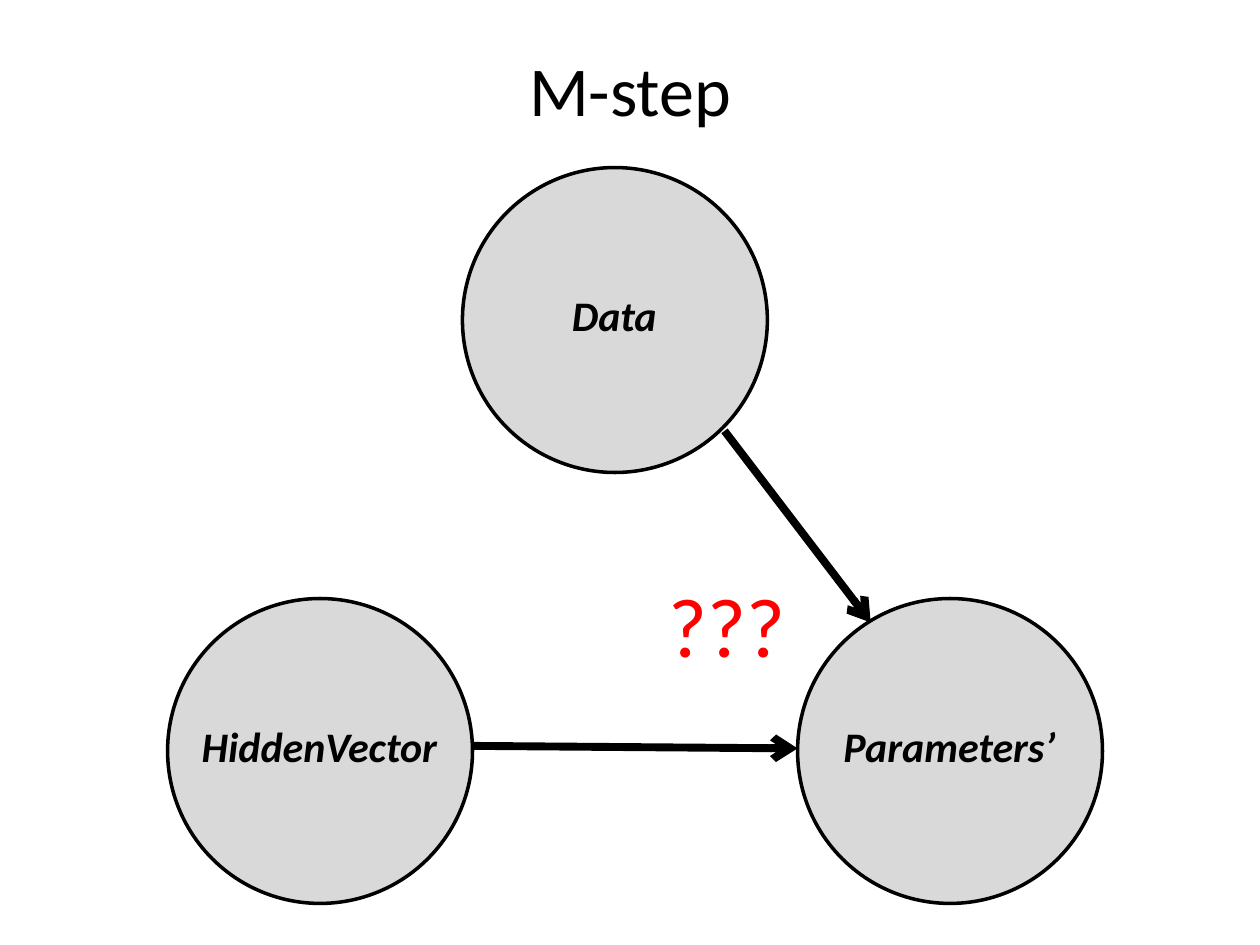
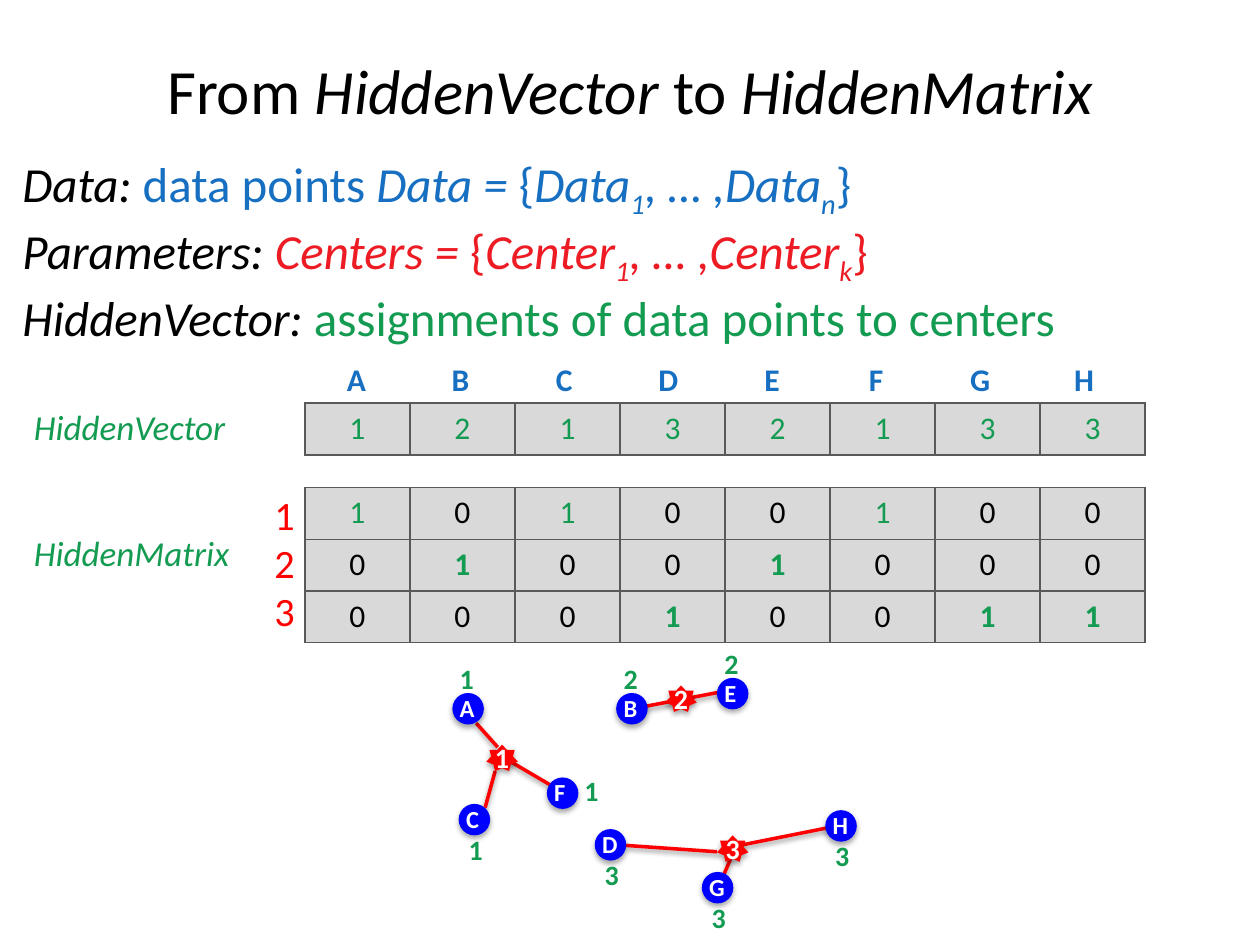
"""Builds two slides on the M-step and on turning HiddenVector into HiddenMatrix."""
from lxml import etree
from pptx import Presentation
from pptx.dml.color import RGBColor
from pptx.enum.shapes import MSO_CONNECTOR, MSO_SHAPE
from pptx.enum.text import MSO_ANCHOR, PP_ALIGN
from pptx.oxml import parse_xml
from pptx.oxml.ns import nsdecls, qn
from pptx.util import Inches, Pt

FONT = "Calibri"
COLORS = {
    "black": "000000", "white": "FFFFFF", "gray": "D9D9D9", "border": "595959",
    "data": "176FC1", "centers": "ED1C24", "hidden": "149B52",
    "red": "FF0000", "point": "0000FF",
}
TITLE_BOX = (0, 0.08, 10, 1.25)

NODE_SIZE = 2.42
NODES = {"Data": (3.67, 1.33), "Parameters’": (6.33, 4.75), "HiddenVector": (1.33, 4.75)}
STEP_ARROWS = [((5.75, 3.42), (6.91, 4.94)), ((3.75, 5.92), (6.33, 5.94))]

ITALIC = {"italic": True}
SUBSCRIPT = {"italic": True, "baseline": -25000}


def indexed_set(name, last, color):
    """Return the runs for a set of members numbered from 1 to last."""
    runs = [("{", {}), (name, ITALIC), ("1", SUBSCRIPT),
            (f", … ,{name}", ITALIC), (last, SUBSCRIPT), ("}", {})]
    return [(text, {**style, "color": color}) for text, style in runs]


MATRIX_TITLE = [("From ", {}), ("HiddenVector ", ITALIC), ("to ", {}), ("HiddenMatrix", ITALIC)]
DEFINITIONS = [
    [("Data: ", ITALIC), ("data points ", {"color": "data"}),
     ("Data = ", {"italic": True, "color": "data"}), *indexed_set("Data", "n", "data")],
    [("Parameters: ", ITALIC), ("Centers = ", {"italic": True, "color": "centers"}),
     *indexed_set("Center", "k", "centers")],
    [("HiddenVector: ", ITALIC),
     ("assignments of data points to centers", {"color": "hidden"})],
]
ASSIGNMENTS = {"A": 1, "B": 2, "C": 1, "D": 3, "E": 2, "F": 1, "G": 3, "H": 3}
CENTERS = {1: (3.86, 5.91), 2: (5.28, 5.44), 3: (5.69, 6.63)}
POINTS = {
    "A": (3.59, 5.5, "above"), "B": (4.89, 5.5, "above"), "C": (3.64, 6.38, "below"),
    "D": (4.72, 6.58, "below"), "E": (5.69, 5.38, "above"), "F": (4.34, 6.17, "right"),
    "G": (5.57, 6.92, "below"), "H": (6.55, 6.43, "below"),
}
ASSIGNMENT_OFFSETS = {"above": (-0.04, -0.3), "below": (-0.02, 0.18), "right": (0.2, -0.08)}
LINKS = [
    ((3.78, 5.74), (3.95, 5.93)), ((4.01, 6.02), (4.47, 6.29)), ((3.93, 6.12), (3.85, 6.41)),
    ((4.97, 6.71), (5.69, 6.76)), ((5.81, 6.79), (5.72, 7)), ((5.82, 6.72), (6.62, 6.56)),
    ((5.05, 5.62), (5.73, 5.49)),
]
TABLE_LEFT, TABLE_WIDTH, ROW_HEIGHT = 2.42, 6.67, 0.41
HEADING_START, HEADING_STEP = 0.3, 0.825


def rgb(color):
    return RGBColor.from_string(COLORS[color])


def lengths(values):
    return [Inches(value) for value in values]


def write_text(frame, paragraphs, size=18, color="black", bold=False, italic=False,
               align=PP_ALIGN.LEFT, anchor=MSO_ANCHOR.TOP, tabs=()):
    """Fill a text frame; a paragraph is a string or a list of (text, format) runs."""
    frame.word_wrap = True
    frame.vertical_anchor = anchor
    for index, content in enumerate(paragraphs):
        paragraph = frame.add_paragraph() if index else frame.paragraphs[0]
        paragraph.alignment = align
        if tabs:
            stops = etree.SubElement(paragraph._p.get_or_add_pPr(), qn("a:tabLst"))
            for position in tabs:
                etree.SubElement(stops, qn("a:tab"), pos=str(Inches(position)), algn="ctr")
        for text, style in [(content, {})] if isinstance(content, str) else content:
            run = paragraph.add_run()
            run.text = text
            run.font.name, run.font.size = FONT, Pt(size)
            run.font.bold, run.font.italic = bold, style.get("italic", italic)
            run.font.color.rgb = rgb(style.get("color", color))
            if "baseline" in style:
                run._r.get_or_add_rPr().set("baseline", str(style["baseline"]))


def add_text(shapes, box, *paragraphs, **style):
    label = shapes.add_textbox(*lengths(box))
    write_text(label.text_frame, paragraphs, **style)
    return label


def add_title(slide, title, size):
    add_text(slide.shapes, TITLE_BOX, title, size=size,
             align=PP_ALIGN.CENTER, anchor=MSO_ANCHOR.MIDDLE)


def set_shadow(shape, opacity=0, distance=0):
    """Replace the theme shadow by none, or by a soft one below the shape."""
    effects = etree.SubElement(shape._element.spPr, qn("a:effectLst"))
    if opacity:
        effects.append(parse_xml(
            f'<a:outerShdw {nsdecls("a")} blurRad="{Pt(3.1)}" dist="{Pt(distance)}" '
            f'dir="5400000" rotWithShape="0"><a:srgbClr val="{COLORS["black"]}">'
            f'<a:alpha val="{opacity * 1000}"/></a:srgbClr></a:outerShdw>'))


def add_figure(shapes, preset, box, fill, outline=None, **shadow):
    figure = shapes.add_shape(preset, *lengths(box))
    figure.fill.solid()
    figure.fill.fore_color.rgb = rgb(fill)
    if outline:
        figure.line.color.rgb = rgb(outline)
        figure.line.width = Pt(2)
    else:
        figure.line.fill.background()
    set_shadow(figure, **shadow)


def add_link(shapes, start, end, color, width, arrow=False, **shadow):
    link = shapes.add_connector(MSO_CONNECTOR.STRAIGHT, *lengths(start + end))
    link.line.color.rgb = rgb(color)
    link.line.width = Pt(width)
    if arrow:
        etree.SubElement(link.line._get_or_add_ln(), qn("a:tailEnd"), type="arrow")
    set_shadow(link, **shadow)


def add_grid(slide, top, rows):
    """Add a gray table; each row is a list of (text, format) cells."""
    columns = len(rows[0])
    box = (TABLE_LEFT, top, TABLE_WIDTH, ROW_HEIGHT * len(rows))
    grid = slide.shapes.add_table(len(rows), columns, *lengths(box)).table
    grid.first_row = grid.horz_banding = False
    for column in grid.columns:
        column.width = Inches(TABLE_WIDTH / columns)
    for r, row in enumerate(rows):
        for c, (text, style) in enumerate(row):
            cell = grid.cell(r, c)
            write_text(cell.text_frame, [text], align=PP_ALIGN.CENTER, **style)
            for side in ("lnL", "lnR", "lnT", "lnB"):
                cell._tc.get_or_add_tcPr().append(parse_xml(
                    f'<a:{side} {nsdecls("a")} w="{Pt(1)}"><a:solidFill>'
                    f'<a:srgbClr val="{COLORS["border"]}"/></a:solidFill></a:{side}>'))
            cell.fill.solid()
            cell.fill.fore_color.rgb = rgb("gray")


def build_m_step(slide):
    add_title(slide, "M-step", 40)
    for name, (left, top) in NODES.items():
        node = slide.shapes.add_group_shape().shapes
        add_figure(node, MSO_SHAPE.OVAL, (left, top, NODE_SIZE, NODE_SIZE), "gray", "black")
        add_text(node, (left + 0.08, top + 0.92, 2.25, 0.5), name, size=24,
                 bold=True, italic=True, align=PP_ALIGN.CENTER)
    for start, end in STEP_ARROWS:
        add_link(slide.shapes, start, end, "black", 4.5, arrow=True)
    add_text(slide.shapes, (5.21, 4.5, 1.46, 0.91), "???", size=48, color="red")


def build_clusters(slide):
    cluster_map = slide.shapes.add_group_shape().shapes
    for start, end in LINKS:
        add_link(cluster_map, start, end, "red", 2, opacity=38, distance=1.6)
    for name, (left, top, side) in POINTS.items():
        add_figure(cluster_map, MSO_SHAPE.OVAL, (left, top, 0.25, 0.25), "point",
                   opacity=35, distance=1.8)
        add_text(cluster_map, (left - 0.04, top - 0.05, 0.38, 0.34), name,
                 size=14, color="white", bold=True)
        dx, dy = ASSIGNMENT_OFFSETS[side]
        add_text(cluster_map, (left + dx, top + dy, 0.38, 0.37), str(ASSIGNMENTS[name]),
                 size=16, color="hidden", bold=True)
    for center, (left, top) in CENTERS.items():
        add_figure(cluster_map, MSO_SHAPE.STAR_7_POINT, (left, top, 0.25, 0.21), "red",
                   opacity=35, distance=1.8)
        add_text(cluster_map, (left - 0.03, top - 0.08, 0.38, 0.37), str(center),
                 size=16, color="white", bold=True)


def build_hidden_matrix(slide):
    add_title(slide, MATRIX_TITLE, 36)
    add_text(slide.shapes, (0.08, 1.17, 10, 1.51), *DEFINITIONS, size=28)

    stops = [HEADING_START + HEADING_STEP * i for i in range(len(ASSIGNMENTS))]
    add_text(slide.shapes, (2.43, 2.81, 6.58, 0.4), "\t" + "\t".join(ASSIGNMENTS),
             color="data", bold=True, tabs=stops)
    for name, top in (("HiddenVector", 3.17), ("HiddenMatrix", 4.17)):
        add_text(slide.shapes, (0.17, top, 1.97, 0.44), name,
                 size=20, color="hidden", italic=True)
    add_text(slide.shapes, (2.08, 3.84, 0.38, 1.26), *map(str, CENTERS), size=23, color="red")

    vector = [(str(center), {"color": "hidden"}) for center in ASSIGNMENTS.values()]
    matrix = [
        [("1", {"color": "hidden", "bold": center > 1}) if assigned == center else ("0", {})
         for assigned in ASSIGNMENTS.values()]
        for center in CENTERS
    ]
    add_grid(slide, 3.2, [vector])
    add_grid(slide, 3.87, matrix)
    build_clusters(slide)


def main():
    deck = Presentation()
    deck.slide_width, deck.slide_height = Inches(10), Inches(7.5)
    for build in (build_m_step, build_hidden_matrix):
        build(deck.slides.add_slide(deck.slide_layouts[6]))
    deck.save("out.pptx")


if __name__ == "__main__":
    main()
